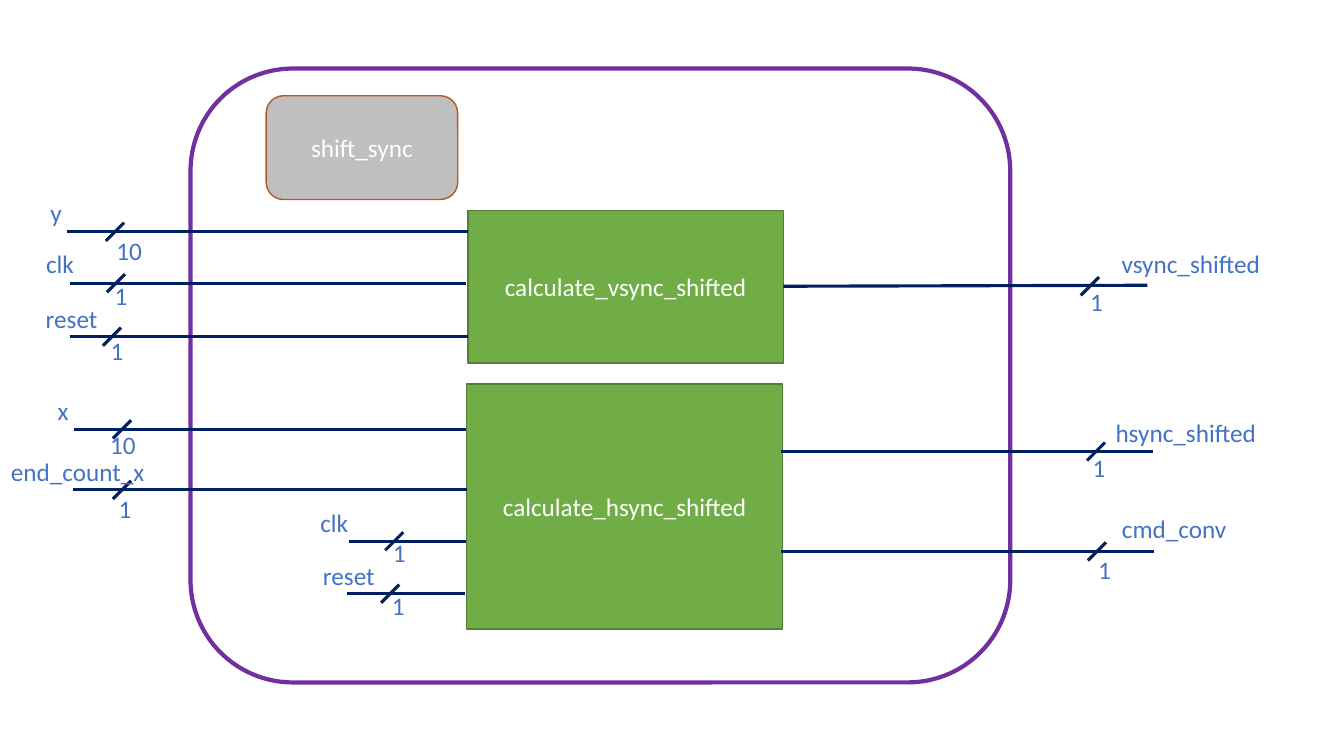
import dataclasses

import pptx
import pptx.dml.color
import pptx.enum.shapes
import pptx.enum.text
import pptx.oxml.ns
import pptx.util
from lxml import etree

EMU_PER_PX = 9144
TEXT_HEIGHT = 40
TICK = 18
COLORS = {
    "frame": "7030A0",
    "white": "FFFFFF",
    "title_fill": "BFBFBF",
    "title_line": "AF5C24",
    "block_fill": "70AD47",
    "block_line": "538035",
    "wire": "002060",
    "label": "4472C4",
}


@dataclasses.dataclass
class Signal:
    """A wire with its name, its bus tick and its width in bits."""

    name: str
    name_box: tuple
    start: int
    end: int
    y: int
    tick_left: int
    bits: str
    bits_box: tuple
    rise: int = 0


SIGNALS = [
    Signal("y", (29, 191, 53), 66, 464, 230, 105, "10", (104, 229, 48)),
    Signal("clk", (18, 241, 83), 69, 462, 281, 106, "1", (96, 273, 48)),
    Signal("reset", (35, 296, 72), 69, 464, 334, 102, "1", (92, 328, 48)),
    Signal("vsync_shifted", (1087, 241, 188), 777, 1138, 284, 1072, "1", (1065, 279, 45), 1),
    Signal("x", (36, 387, 53), 73, 462, 426, 112, "10", (98, 421, 48)),
    Signal("end_count_x", (0, 448, 154), 72, 463, 486, 112, "1", (100, 484, 48)),
    Signal("clk", (290, 498, 83), 346, 462, 537, 382, "1", (372, 528, 48)),
    Signal("reset", (310, 551, 72), 344, 461, 589, 378, "1", (371, 581, 48)),
    Signal("hsync_shifted", (1087, 409, 178), 775, 1144, 448, 1078, "1", (1066, 444, 48)),
    Signal("cmd_conv", (1089, 504, 151), 775, 1145, 547, 1079, "1", (1073, 545, 45)),
]


def px(length):
    """Turn px into EMU."""
    return pptx.util.Emu(length * EMU_PER_PX)


def rgb(color):
    """Look up a named colour."""
    return pptx.dml.color.RGBColor.from_string(COLORS[color])


def write(frame, text, *, color, size=18, font="Calibri"):
    """Write one centred line of formatted text."""
    frame.word_wrap = True
    paragraph = frame.paragraphs[0]
    paragraph.alignment = pptx.enum.text.PP_ALIGN.CENTER
    run = paragraph.add_run()
    run.text = text
    run.font.name = font
    run.font.size = pptx.util.Pt(size)
    run.font.color.rgb = rgb(color)


def add_label(slide, text, box):
    """Add a signal label in a box of left, top and width."""
    left, top, width = box
    label = slide.shapes.add_textbox(px(left), px(top), px(width), px(TEXT_HEIGHT))
    write(label.text_frame, text, color="label")


def add_block(slide, box, fill, line, *, weight=1, rounded=False, text=""):
    """Add a filled block, with text if given."""
    kinds = pptx.enum.shapes.MSO_SHAPE
    kind = kinds.ROUNDED_RECTANGLE if rounded else kinds.RECTANGLE
    block = slide.shapes.add_shape(kind, *map(px, box))
    block.shadow.inherit = False
    block.fill.solid()
    block.fill.fore_color.rgb = rgb(fill)
    block.line.color.rgb = rgb(line)
    block.line.width = pptx.util.Pt(weight)
    if text:
        block.text_frame.vertical_anchor = pptx.enum.text.MSO_ANCHOR.MIDDLE
        write(block.text_frame, text, color="white")


def add_wire(slide, x1, y1, x2, y2):
    """Add a straight line without shadow."""
    straight = pptx.enum.shapes.MSO_CONNECTOR.STRAIGHT
    wire = slide.shapes.add_connector(straight, px(x1), px(y1), px(x2), px(y2))
    wire.line.color.rgb = rgb("wire")
    wire.line.width = pptx.util.Pt(2.25)
    etree.SubElement(wire._element.spPr, pptx.oxml.ns.qn("a:effectLst"))


def add_signal(slide, signal):
    """Add a signal's wire, bus tick and two labels."""
    add_wire(slide, signal.start, signal.y, signal.end, signal.y - signal.rise)
    half = TICK // 2
    add_wire(slide, signal.tick_left, signal.y + half,
             signal.tick_left + TICK, signal.y - half)
    add_label(slide, signal.bits, signal.bits_box)
    add_label(slide, signal.name, signal.name_box)


def main():
    """Build the block diagram of shift_sync."""
    deck = pptx.Presentation()
    deck.slide_width, deck.slide_height = px(1333), px(750)
    slide = deck.slides.add_slide(deck.slide_layouts[6])
    add_block(slide, (189, 68, 813, 609), "white", "frame", weight=3, rounded=True)
    add_block(slide, (264, 95, 190, 103), "title_fill", "title_line",
              rounded=True, text="shift_sync")
    add_block(slide, (464, 209, 313, 151), "block_fill", "block_line",
              text="calculate_vsync_shifted")
    add_block(slide, (463, 381, 313, 243), "block_fill", "block_line",
              text="calculate_hsync_shifted")
    for signal in SIGNALS:
        add_signal(slide, signal)
    deck.save("out.pptx")


if __name__ == "__main__":
    main()
